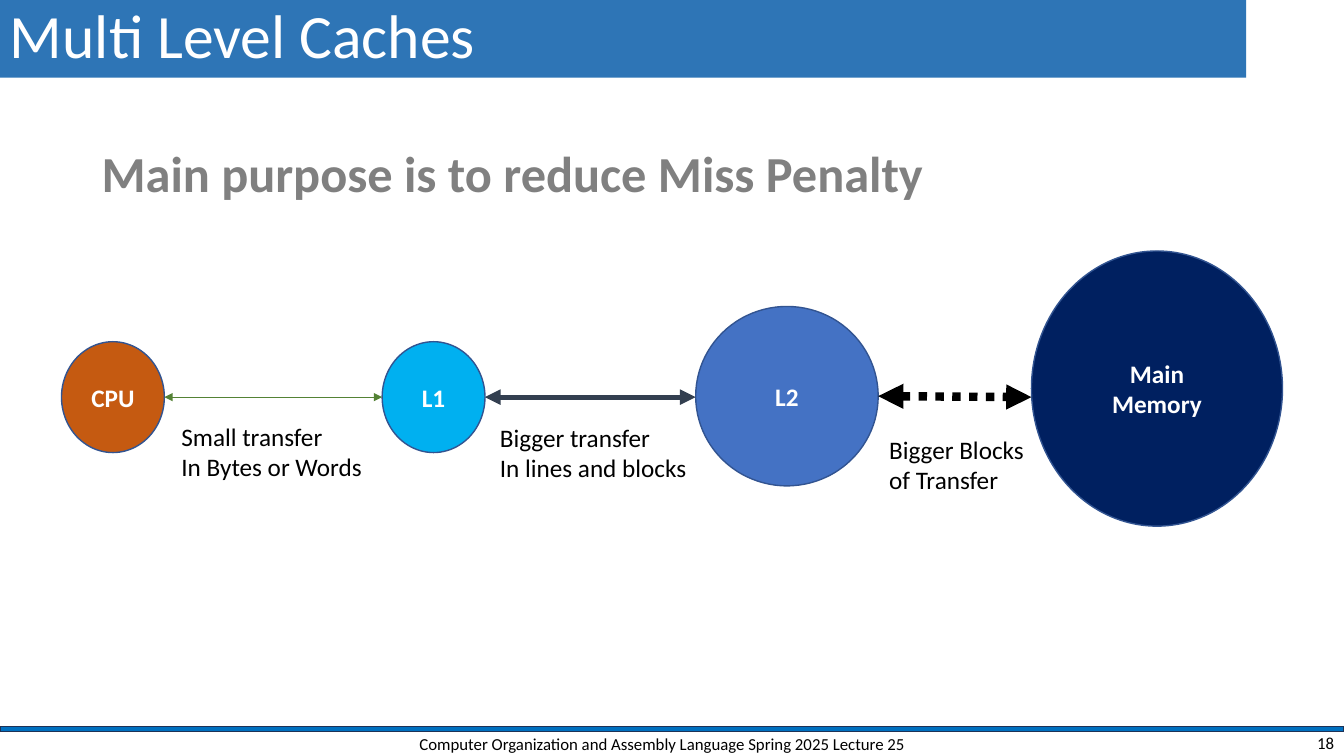
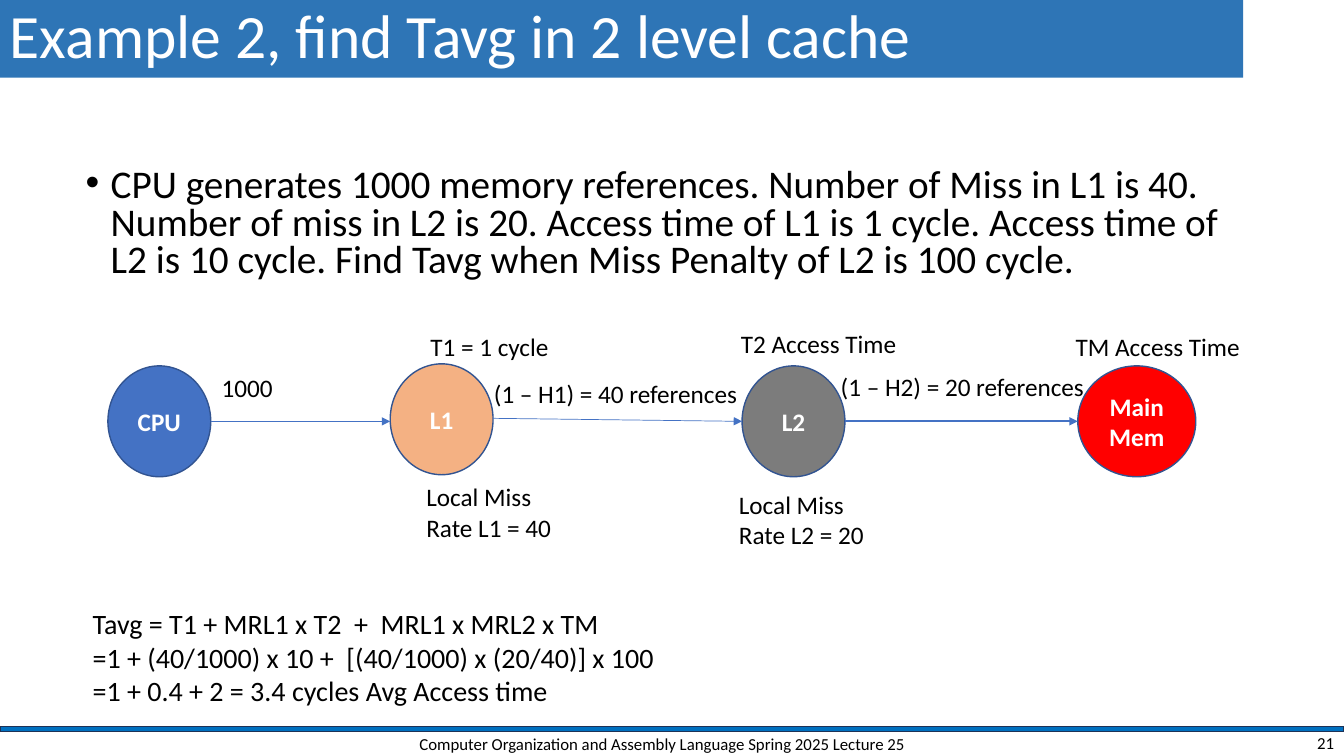
from dataclasses import dataclass

from lxml.etree import SubElement
from pptx import Presentation
from pptx.dml.color import RGBColor
from pptx.enum.dml import MSO_LINE
from pptx.enum.shapes import MSO_CONNECTOR, MSO_SHAPE
from pptx.enum.text import MSO_ANCHOR as Anchor, PP_ALIGN as Align
from pptx.oxml.ns import qn
from pptx.shapes.autoshape import Shape
from pptx.slide import Slide
from pptx.text.text import TextFrame
from pptx.util import Inches, Pt


@dataclass(frozen=True)
class Theme:
    font: str = "Calibri"
    title_size: int = 44
    statement_size: int = 36
    body_size: int = 28
    formula_size: int = 20
    label_size: int = 18
    footer_size: int = 12
    white: str = "FFFFFF"
    black: str = "000000"
    grey: str = "808080"
    title_fill: str = "2E75B6"
    bar_fill: str = "0070C0"
    bar_line: str = "1E3256"
    node_line: str = "325491"
    blue: str = "4472C4"
    orange: str = "C55A11"
    sky: str = "00B0F0"
    navy: str = "002060"
    peach: str = "F4B183"
    mid_grey: str = "7C7C7C"
    red: str = "FF0000"
    green: str = "548235"
    slate: str = "333F50"


THEME = Theme()
SLIDE_WIDTH = 13.33
FOOTER = "Computer Organization and Assembly Language Spring 2025 Lecture 25"


@dataclass(frozen=True)
class Box:
    left: float
    top: float
    width: float
    height: float

    @property
    def right(self) -> float:
        return self.left + self.width

    def lengths(self) -> tuple[Inches, Inches, Inches, Inches]:
        return Inches(self.left), Inches(self.top), Inches(self.width), Inches(self.height)


@dataclass(frozen=True)
class TextStyle:
    size: int = THEME.label_size
    color: str = THEME.black
    bold: bool = False
    align: Align = Align.LEFT
    anchor: Anchor = Anchor.TOP
    wrap: bool = True
    line_spacing: float = 1.0


LABEL = TextStyle(wrap=False)
STATEMENT = TextStyle(THEME.statement_size, THEME.grey, bold=True, wrap=False)
TITLE = TextStyle(THEME.title_size, THEME.white, anchor=Anchor.MIDDLE, line_spacing=0.9)
BODY = TextStyle(THEME.body_size, line_spacing=0.8)
FORMULA = TextStyle(THEME.formula_size)
NODE = TextStyle(color=THEME.white, bold=True, align=Align.CENTER, anchor=Anchor.MIDDLE)
FOOTER_TEXT = TextStyle(THEME.footer_size, align=Align.CENTER, anchor=Anchor.MIDDLE)
PAGE_NUMBER = TextStyle(THEME.footer_size, align=Align.RIGHT, anchor=Anchor.MIDDLE)


@dataclass(frozen=True)
class Node:
    box: Box
    fill: str
    lines: tuple[str, ...]


@dataclass(frozen=True)
class Link:
    """Arrow from one node to the next; the heights are those of its two ends."""
    start_y: float
    end_y: float
    color: str = THEME.blue
    weight: float = 0.5
    two_way: bool = False
    dotted: bool = False


@dataclass(frozen=True)
class Label:
    box: Box
    lines: tuple[str, ...]


def write(frame: TextFrame, lines: tuple[str, ...], style: TextStyle) -> None:
    frame.word_wrap = style.wrap
    frame.vertical_anchor = style.anchor
    for index, line in enumerate(lines):
        paragraph = frame.paragraphs[0] if index == 0 else frame.add_paragraph()
        paragraph.alignment = style.align
        paragraph.line_spacing = style.line_spacing
        run = paragraph.add_run()
        run.text = line
        run.font.name = THEME.font
        run.font.size = Pt(style.size)
        run.font.bold = style.bold
        run.font.color.rgb = RGBColor.from_string(style.color)


def add_text(slide: Slide, box: Box, lines: tuple[str, ...], style: TextStyle) -> TextFrame:
    frame = slide.shapes.add_textbox(*box.lengths()).text_frame
    write(frame, lines, style)
    return frame


def add_filled(slide: Slide, kind: MSO_SHAPE, box: Box, fill: str,
               outline: str | None = None) -> Shape:
    shape = slide.shapes.add_shape(kind, *box.lengths())
    shape.shadow.inherit = False
    shape.fill.solid()
    shape.fill.fore_color.rgb = RGBColor.from_string(fill)
    if outline is None:
        shape.line.fill.background()
    else:
        shape.line.color.rgb = RGBColor.from_string(outline)
        shape.line.width = Pt(1)
    return shape


def add_link(slide: Slide, start: Node, end: Node, link: Link) -> None:
    connector = slide.shapes.add_connector(
        MSO_CONNECTOR.STRAIGHT,
        Inches(start.box.right), Inches(link.start_y),
        Inches(end.box.left), Inches(link.end_y))
    connector.line.color.rgb = RGBColor.from_string(link.color)
    connector.line.width = Pt(link.weight)
    if link.dotted:
        connector.line.dash_style = MSO_LINE.ROUND_DOT
    properties = connector.element.spPr
    line = properties.find(qn("a:ln"))
    for tag in ("a:headEnd", "a:tailEnd") if link.two_way else ("a:tailEnd",):
        SubElement(line, qn(tag), type="triangle")
    SubElement(properties, qn("a:effectLst"))


def add_chain(slide: Slide, nodes: list[Node], links: list[Link], labels: list[Label]) -> None:
    """Draw the memory levels, the arrows between neighbours and the labels."""
    for node in nodes:
        shape = add_filled(slide, MSO_SHAPE.OVAL, node.box, node.fill, THEME.node_line)
        write(shape.text_frame, node.lines, NODE)
    for start, end, link in zip(nodes, nodes[1:], links):
        add_link(slide, start, end, link)
    for label in labels:
        add_text(slide, label.box, label.lines, LABEL)


def add_bullet(slide: Slide, box: Box, text: str) -> None:
    paragraph = add_text(slide, box, (text,), BODY).paragraphs[0]
    paragraph.space_before = Pt(10)
    properties = paragraph._p.get_or_add_pPr()
    properties.set("marL", str(Inches(0.25)))
    properties.set("indent", str(Inches(-0.25)))
    SubElement(properties, qn("a:buFont"), typeface="Arial")
    SubElement(properties, qn("a:buChar"), char="•")


def add_framed_slide(presentation: Presentation, title: str, title_width: float,
                     number: int) -> Slide:
    """Add a slide with the title band, the footer bar and the footer texts."""
    slide = presentation.slides.add_slide(presentation.slide_layouts[6])
    add_filled(slide, MSO_SHAPE.RECTANGLE, Box(0, 7.21, SLIDE_WIDTH, 0.05),
               THEME.bar_fill, THEME.bar_line)
    band = add_filled(slide, MSO_SHAPE.RECTANGLE, Box(0, 0, title_width, 0.77),
                      THEME.title_fill)
    write(band.text_frame, (title,), TITLE)
    add_text(slide, Box(3.92, 7.24, 5.3, 0.28), (FOOTER,), FOOTER_TEXT)
    add_text(slide, Box(10.33, 7.24, 3, 0.25), (str(number),), PAGE_NUMBER)
    return slide


def build_cache_levels(presentation: Presentation) -> None:
    slide = add_framed_slide(presentation, "Multi Level Caches", 12.36, 18)
    add_text(slide, Box(0.91, 1.36, 8.44, 0.71),
             ("Main purpose is to reduce Miss Penalty",), STATEMENT)
    nodes = [
        Node(Box(0.61, 3.39, 1.02, 1.1), THEME.orange, ("CPU",)),
        Node(Box(3.79, 3.39, 1.02, 1.1), THEME.sky, ("L1",)),
        Node(Box(6.9, 3.04, 1.81, 1.78), THEME.blue, ("L2",)),
        Node(Box(10.23, 2.49, 2.49, 2.73), THEME.navy, ("Main", "Memory")),
    ]
    links = [
        Link(3.94, 3.94, THEME.green, 0.5, two_way=True),
        Link(3.94, 3.94, THEME.slate, 3.75, two_way=True),
        Link(3.93, 3.94, THEME.black, 6, two_way=True, dotted=True),
    ]
    labels = [
        Label(Box(1.7, 4.13, 2.01, 0.71), ("Small transfer", "In Bytes or Words")),
        Label(Box(4.86, 4.14, 2.07, 0.71), ("Bigger transfer", "In lines and blocks")),
        Label(Box(8.72, 4.26, 1.55, 0.71), ("Bigger Blocks", "of Transfer")),
    ]
    add_chain(slide, nodes, links, labels)


def build_average_time(presentation: Presentation) -> None:
    slide = add_framed_slide(presentation, "Example 2, find Tavg in 2 level cache", 12.33, 21)
    add_bullet(slide, Box(0.75, 1.62, 11.5, 1.33),
               "CPU generates 1000 memory references. Number of Miss in L1 is 40. "
               "Number of miss in L2 is 20. Access time of L1 is 1 cycle. "
               "Access time of L2 is 10 cycle. "
               "Find Tavg when Miss Penalty of L2 is 100 cycle.")
    add_text(slide, Box(0.82, 5.97, 6.67, 1.11), (
        "Tavg = T1 + MRL1 x T2  +  MRL1 x MRL2 x TM",
        "=1 + (40/1000) x 10 +  [(40/1000) x (20/40)] x 100",
        "=1 + 0.4 + 2 = 3.4 cycles Avg Access time",
    ), FORMULA)
    nodes = [
        Node(Box(1.07, 3.63, 1.02, 1.1), THEME.blue, ("CPU",)),
        Node(Box(3.87, 3.61, 1.02, 1.1), THEME.peach, ("L1",)),
        Node(Box(7.36, 3.63, 1.02, 1.1), THEME.mid_grey, ("L2",)),
        Node(Box(10.69, 3.63, 1.17, 1.1), THEME.red, ("Main", "Mem")),
    ]
    links = [Link(4.18, 4.18), Link(4.15, 4.18), Link(4.18, 4.18, weight=1.5)]
    labels = [
        Label(Box(2.1, 3.64, 0.71, 0.4), ("1000",)),
        Label(Box(4.17, 3.24, 1.39, 0.4), ("T1 = 1 cycle",)),
        Label(Box(7.25, 3.21, 1.76, 0.4), ("T2 Access Time",)),
        Label(Box(10.57, 3.24, 1.85, 0.4), ("TM Access Time",)),
        Label(Box(4.13, 4.73, 1.46, 0.71), ("Local Miss", "Rate L1 = 40")),
        Label(Box(7.23, 4.8, 1.51, 0.71), ("Local Miss", "Rate L2 = 20")),
        Label(Box(4.8, 3.7, 2.65, 0.4), ("(1 – H1) = 40 references",)),
        Label(Box(8.24, 3.63, 2.71, 0.4), ("(1 – H2) = 20 references",)),
    ]
    add_chain(slide, nodes, links, labels)


def main() -> None:
    presentation = Presentation()
    presentation.slide_width = Inches(SLIDE_WIDTH)
    presentation.slide_height = Inches(7.5)
    build_cache_levels(presentation)
    build_average_time(presentation)
    presentation.save("out.pptx")


if __name__ == "__main__":
    main()
